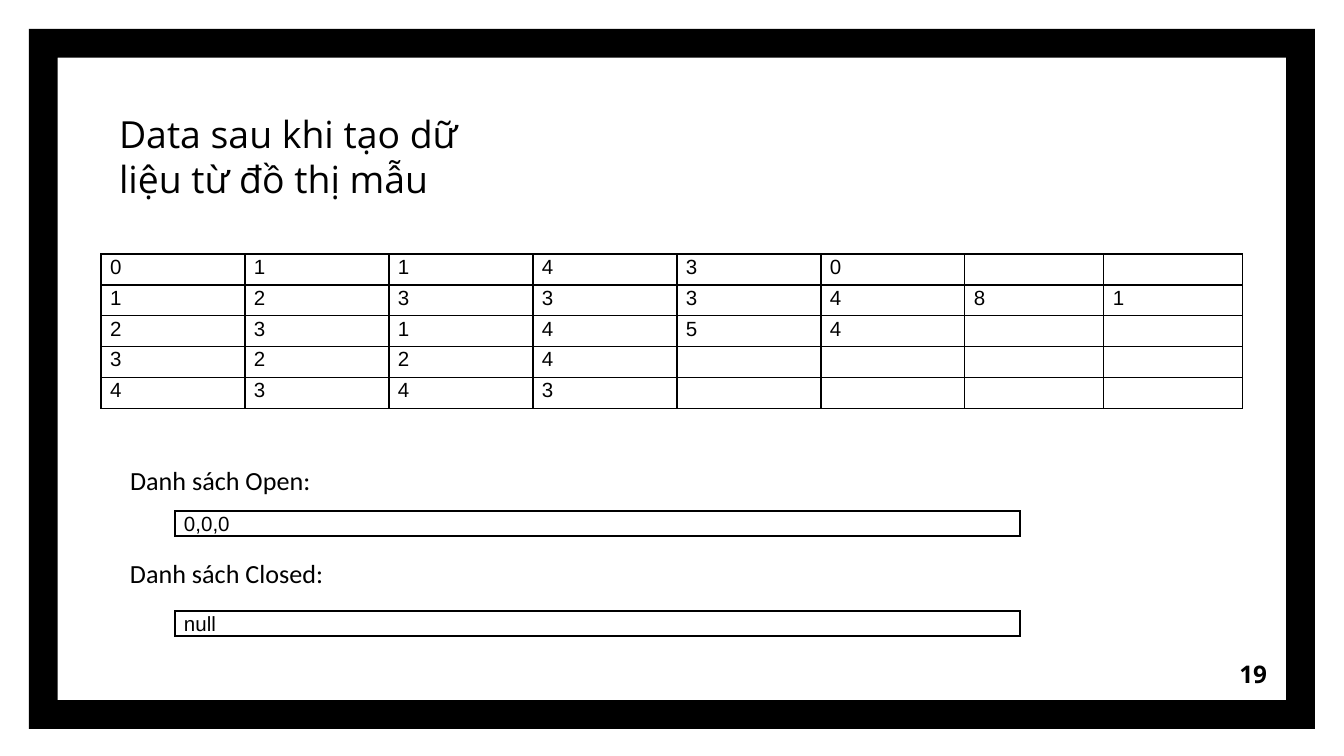
from dataclasses import dataclass

from lxml.etree import SubElement
from pptx import Presentation
from pptx.dml.color import RGBColor
from pptx.enum.shapes import MSO_SHAPE
from pptx.enum.text import MSO_ANCHOR, PP_ALIGN
from pptx.oxml.ns import qn
from pptx.slide import Slide
from pptx.table import _Cell
from pptx.util import Emu, Pt

SCALE = 914400 / 134.4
BLACK = "000000"
SIDES = ("lnL", "lnR", "lnT", "lnB")
SMALL = 11


@dataclass
class Label:
    text: str
    box: tuple[int, int, int, int]
    font: str
    size: int
    bold: bool = False
    pad: int = 7
    anchor: MSO_ANCHOR = MSO_ANCHOR.TOP
    align: PP_ALIGN = PP_ALIGN.LEFT


@dataclass
class Grid:
    left: int
    top: int
    cols: list[int]
    high: int
    rows: list[list[str]]


LABELS = [
    Label("Data sau khi tạo dữ liệu từ đồ thị mẫu", (106, 114, 406, 100),
          "Open Sans", 20, pad=13, anchor=MSO_ANCHOR.BOTTOM),
    Label("Danh sách Open:", (117, 457, 793, 46), "Calibri", 14),
    Label("Danh sách Closed:", (117, 550, 223, 46), "Calibri", 14),
    Label("19", (1199, 645, 81, 58), "Open Sans", 13, bold=True, pad=13,
          anchor=MSO_ANCHOR.MIDDLE, align=PP_ALIGN.RIGHT),
]

GRIDS = [
    Grid(101, 254, [144] * 6 + [139] * 2, 31, [
        ["0", "1", "1", "4", "3", "0"],
        ["1", "2", "3", "3", "3", "4", "8", "1"],
        ["2", "3", "1", "4", "5", "4"],
        ["3", "2", "2", "4"],
        ["4", "3", "4", "3"],
    ]),
    Grid(175, 511, [845], 25, [["0,0,0"]]),
    Grid(175, 611, [845], 25, [["null"]]),
]


def px(num: int) -> Emu:
    return Emu(round(num * SCALE))


def tint(code: str) -> RGBColor:
    return RGBColor.from_string(code)


def apply(item: object, values: dict) -> None:
    for name, value in values.items():
        setattr(item, name, value)


def style(font: object, name: str, size: int, bold: bool = False) -> None:
    apply(font, {"name": name, "size": Pt(size), "bold": bold})
    font.color.rgb = tint(BLACK)


def draw_frame(slide: Slide) -> None:
    frame = slide.shapes.add_shape(
        MSO_SHAPE.FRAME, px(29), px(29), px(1286), px(700))
    frame.adjustments[0] = 0.041
    frame.shadow.inherit = False
    frame.fill.solid()
    frame.fill.fore_color.rgb = tint(BLACK)
    frame.line.fill.background()


def draw_label(slide: Slide, label: Label) -> None:
    box = slide.shapes.add_textbox(*map(px, label.box))
    frame = box.text_frame
    apply(frame, {
        "word_wrap": True, "vertical_anchor": label.anchor,
        "margin_left": px(13), "margin_right": px(13),
        "margin_top": px(label.pad), "margin_bottom": px(label.pad),
    })
    para = frame.paragraphs[0]
    para.alignment = label.align
    run = para.add_run()
    run.text = label.text
    style(run.font, label.font, label.size, label.bold)


def draw_edges(cell: _Cell) -> None:
    props = cell._tc.get_or_add_tcPr()
    for spot, side in enumerate(SIDES):
        line = SubElement(props, qn(f"a:{side}"), w=str(Pt(0.75)))
        fill = SubElement(line, qn("a:solidFill"))
        SubElement(fill, qn("a:srgbClr"), val=BLACK)
        props.insert(spot, line)


def draw_cell(cell: _Cell, text: str) -> None:
    apply(cell, {
        "margin_left": px(9), "margin_right": px(9),
        "margin_top": 0, "margin_bottom": 0,
    })
    cell.fill.background()
    draw_edges(cell)
    para = cell.text_frame.paragraphs[0]
    para.line_spacing = 1.07
    if text:
        run = para.add_run()
        run.text = text
        style(run.font, "Arial", SMALL)
    else:
        SubElement(para._p, qn("a:endParaRPr"), sz=str(SMALL * 100))


def draw_grid(slide: Slide, grid: Grid) -> None:
    count = len(grid.rows)
    table = slide.shapes.add_table(
        count, len(grid.cols), px(grid.left), px(grid.top),
        px(sum(grid.cols)), px(grid.high * count)).table
    apply(table, {"first_row": False, "horz_banding": False})
    for col, wide in zip(table.columns, grid.cols):
        col.width = px(wide)
    for row, texts in zip(table.rows, grid.rows):
        row.height = px(grid.high)
        for spot, cell in enumerate(row.cells):
            draw_cell(cell, texts[spot] if spot < len(texts) else "")


def main() -> None:
    deck = Presentation()
    apply(deck, {"slide_width": px(1344), "slide_height": px(756)})
    slide = deck.slides.add_slide(deck.slide_layouts[6])
    draw_frame(slide)
    for grid in GRIDS:
        draw_grid(slide, grid)
    for label in LABELS:
        draw_label(slide, label)
    deck.save("out.pptx")


if __name__ == "__main__":
    main()
